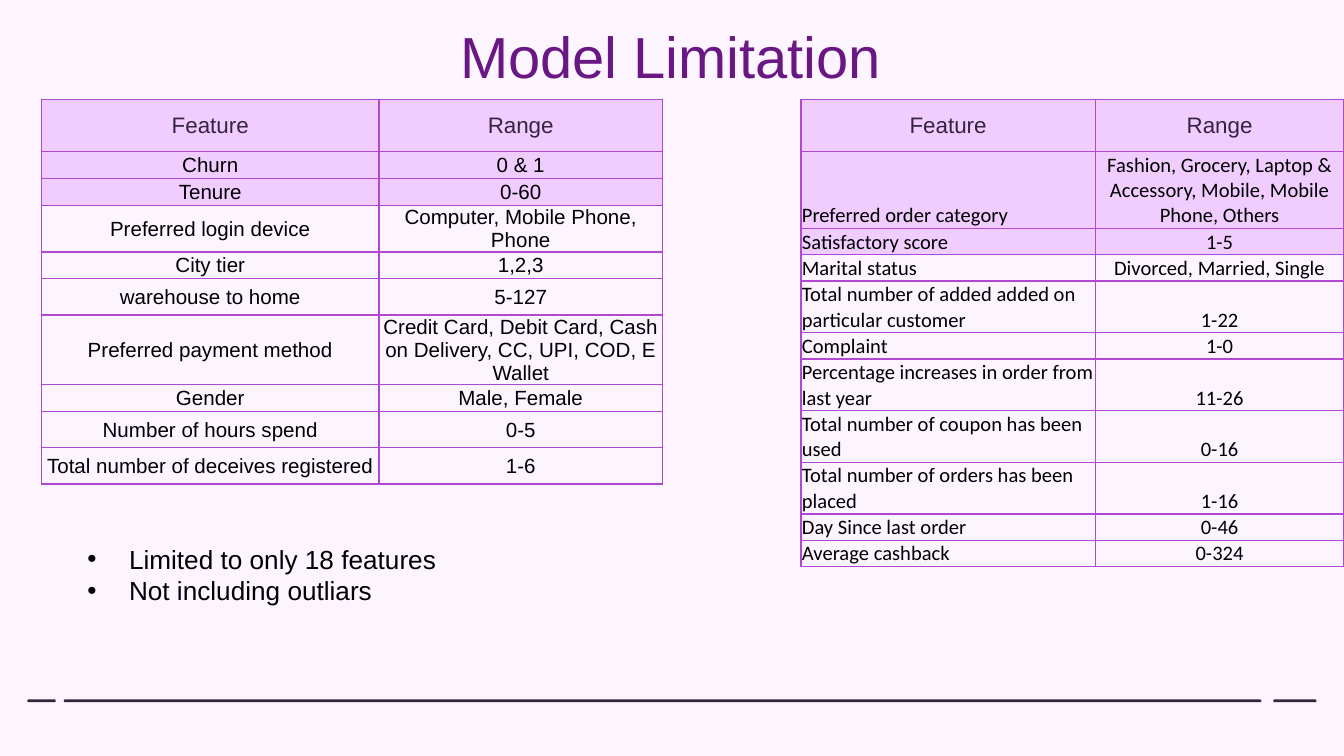
import pptx
import pptx.util
import pptx.dml.color
import pptx.enum.shapes
import pptx.enum.text
import pptx.oxml
import pptx.oxml.ns
from dataclasses import dataclass

Inches = pptx.util.Inches
Align = pptx.enum.text.PP_ALIGN
Anchor = pptx.enum.text.MSO_ANCHOR


@dataclass(frozen=True)
class Theme:
    background: str = "FCF4FF"
    title: str = "691883"
    dark: str = "36243F"
    text: str = "000000"
    highlight: str = "F0CCFF"
    border: str = "B148D2"
    font: str = "Arial"
    alternate_font: str = "Calibri"
    title_size: int = 31
    list_size: int = 14
    header_size: int = 12
    cell_size: int = 11
    border_width: float = 0.75


THEME = Theme()
TITLE = "Model Limitation"
NOTES = ["Limited to only 18 features", "Not including outliars"]
HEADER = ("Feature", "Range")
HIGHLIGHTED_ROWS = 3
TABLE_TOP = 0.74
HEADER_MARGIN = Inches(0.1)
CELL_MARGIN = pptx.util.Pt(0.5)
FOOTER_TOP = 5.21
FOOTER_DASHES = [(0.21, 0.2), (0.48, 8.9), (9.48, 0.31)]

TABLES = [
    {
        "left": 5.96, "height": 3.44, "columns": (2.19, 1.85),
        "header_height": 0.35, "font": THEME.alternate_font,
        "anchor": Anchor.BOTTOM, "feature_align": Align.LEFT,
        "rows": [
            ("Preferred order category",
             "Fashion, Grocery, Laptop & Accessory, Mobile, Mobile Phone, Others", 0.48),
            ("Satisfactory score", "1-5", 0.17),
            ("Marital status", "Divorced, Married, Single", 0.17),
            ("Total number of added added on particular customer", "1-22", 0.33),
            ("Complaint", "1-0", 0.17),
            ("Percentage increases in order from last year", "11-26", 0.33),
            ("Total number of coupon has been used", "0-16", 0.33),
            ("Total number of orders has been placed", "1-16", 0.33),
            ("Day Since last order", "0-46", 0.17),
            ("Average cashback", "0-324", 0.17),
        ],
    },
    {
        "left": 0.31, "height": 2.97, "columns": (2.51, 2.11),
        "header_height": 0.29, "font": THEME.font,
        "anchor": Anchor.MIDDLE, "feature_align": Align.CENTER,
        "rows": [
            ("Churn", "0 & 1", 0.2),
            ("Tenure", "0-60", 0.2),
            ("Preferred login device", "Computer, Mobile Phone, Phone", 0.2),
            ("City tier", "1,2,3", 0.2),
            ("warehouse to home", "5-127", 0.27),
            ("Preferred payment method",
             "Credit Card, Debit Card, Cash on Delivery, CC, UPI, COD, E Wallet", 0.27),
            ("Gender", "Male, Female", 0.2),
            ("Number of hours spend", "0-5", 0.27),
            ("Total number of deceives registered", "1-6", 0.27),
        ],
    },
]


def rgb(color):
    return pptx.dml.color.RGBColor.from_string(color)


def place(shape, left, top, width, height):
    shape.left, shape.top = Inches(left), Inches(top)
    shape.width, shape.height = Inches(width), Inches(height)


def add_text(para, text, font, size, color):
    span = para.add_run()
    span.text = text
    span.font.name = font
    span.font.size = pptx.util.Pt(size)
    span.font.color.rgb = rgb(color)


def add_borders(cell):
    properties = cell._tc.get_or_add_tcPr()
    width = pptx.util.Pt(THEME.border_width)
    for side in ("lnL", "lnR", "lnT", "lnB"):
        properties.append(pptx.oxml.parse_xml(
            f'<a:{side} {pptx.oxml.ns.nsdecls("a")} w="{width}"><a:solidFill>'
            f'<a:srgbClr val="{THEME.border}"/></a:solidFill></a:{side}>'))


def set_margins(box, side, bottom):
    box.margin_left = box.margin_right = box.margin_top = side
    box.margin_bottom = bottom


def add_feature_table(page, data):
    rows = [(*HEADER, data["header_height"])] + data["rows"]
    frame = page.shapes.add_table(
        len(rows), len(HEADER), Inches(data["left"]), Inches(TABLE_TOP),
        Inches(sum(data["columns"])), Inches(data["height"]))
    table = frame.table
    table.first_row = table.horz_banding = False
    for column, width in zip(table.columns, data["columns"]):
        column.width = Inches(width)
    for row_index, (*texts, height) in enumerate(rows):
        table.rows[row_index].height = Inches(height)
        is_header = row_index == 0
        for column_index, text in enumerate(texts):
            cell = table.cell(row_index, column_index)
            add_borders(cell)
            if row_index < HIGHLIGHTED_ROWS:
                cell.fill.solid()
                cell.fill.fore_color.rgb = rgb(THEME.highlight)
            else:
                cell.fill.background()
            para = cell.text_frame.paragraphs[0]
            para.alignment = Align.CENTER
            if is_header:
                set_margins(cell, HEADER_MARGIN, HEADER_MARGIN)
                cell.vertical_anchor = Anchor.MIDDLE
                add_text(para, text, THEME.font, THEME.header_size, THEME.dark)
            else:
                set_margins(cell, CELL_MARGIN, 0)
                cell.vertical_anchor = data["anchor"]
                if column_index == 0:
                    para.alignment = data["feature_align"]
                add_text(para, text, data["font"], THEME.cell_size, THEME.text)
    frame.height = Inches(data["height"])


def add_footer(page):
    for left, width in FOOTER_DASHES:
        dash = page.shapes.add_shape(
            pptx.enum.shapes.MSO_SHAPE.ROUNDED_RECTANGLE,
            Inches(left), Inches(FOOTER_TOP), Inches(width), Inches(0.01))
        dash.shadow.inherit = False
        dash.fill.solid()
        dash.fill.fore_color.rgb = rgb(THEME.dark)
        dash.line.color.rgb = rgb(THEME.dark)
        dash.line.width = pptx.util.Pt(THEME.border_width)


def fill_title(box):
    place(box, 1.5, 0.05, 6.98, 0.66)
    frame = box.text_frame
    frame.auto_size = pptx.enum.text.MSO_AUTO_SIZE.NONE
    frame.vertical_anchor = Anchor.TOP
    set_margins(frame, HEADER_MARGIN, HEADER_MARGIN)
    para = frame.paragraphs[0]
    para.alignment = Align.CENTER
    add_text(para, TITLE, THEME.font, THEME.title_size, THEME.title)


def fill_notes(box):
    place(box, 0.55, 3.99, 3.37, 0.57)
    frame = box.text_frame
    frame.auto_size = pptx.enum.text.MSO_AUTO_SIZE.NONE
    frame.vertical_anchor = Anchor.TOP
    for index, note in enumerate(NOTES):
        para = frame.add_paragraph() if index else frame.paragraphs[0]
        para.space_before = pptx.util.Pt(0)
        properties = para._p.get_or_add_pPr()
        properties.set("marL", str(Inches(0.31)))
        properties.set("indent", str(-Inches(0.31)))
        names = pptx.oxml.ns.nsdecls("a")
        for bullet in (f'<a:buClr {names}><a:srgbClr val="{THEME.text}"/></a:buClr>',
                       f'<a:buFont {names} typeface="{THEME.font}"/>',
                       f'<a:buChar {names} char="•"/>'):
            properties.append(pptx.oxml.parse_xml(bullet))
        add_text(para, note, THEME.font, THEME.list_size, THEME.text)


def main():
    deck = pptx.Presentation()
    deck.slide_width = Inches(10)
    deck.slide_height = deck.slide_width * 9 // 16
    page = deck.slides.add_slide(deck.slide_layouts[1])
    page.background.fill.solid()
    page.background.fill.fore_color.rgb = rgb(THEME.background)
    add_footer(page)
    fill_title(page.shapes.title)
    for data in TABLES:
        add_feature_table(page, data)
    fill_notes(page.placeholders[1])
    deck.save("out.pptx")


if __name__ == "__main__":
    main()
